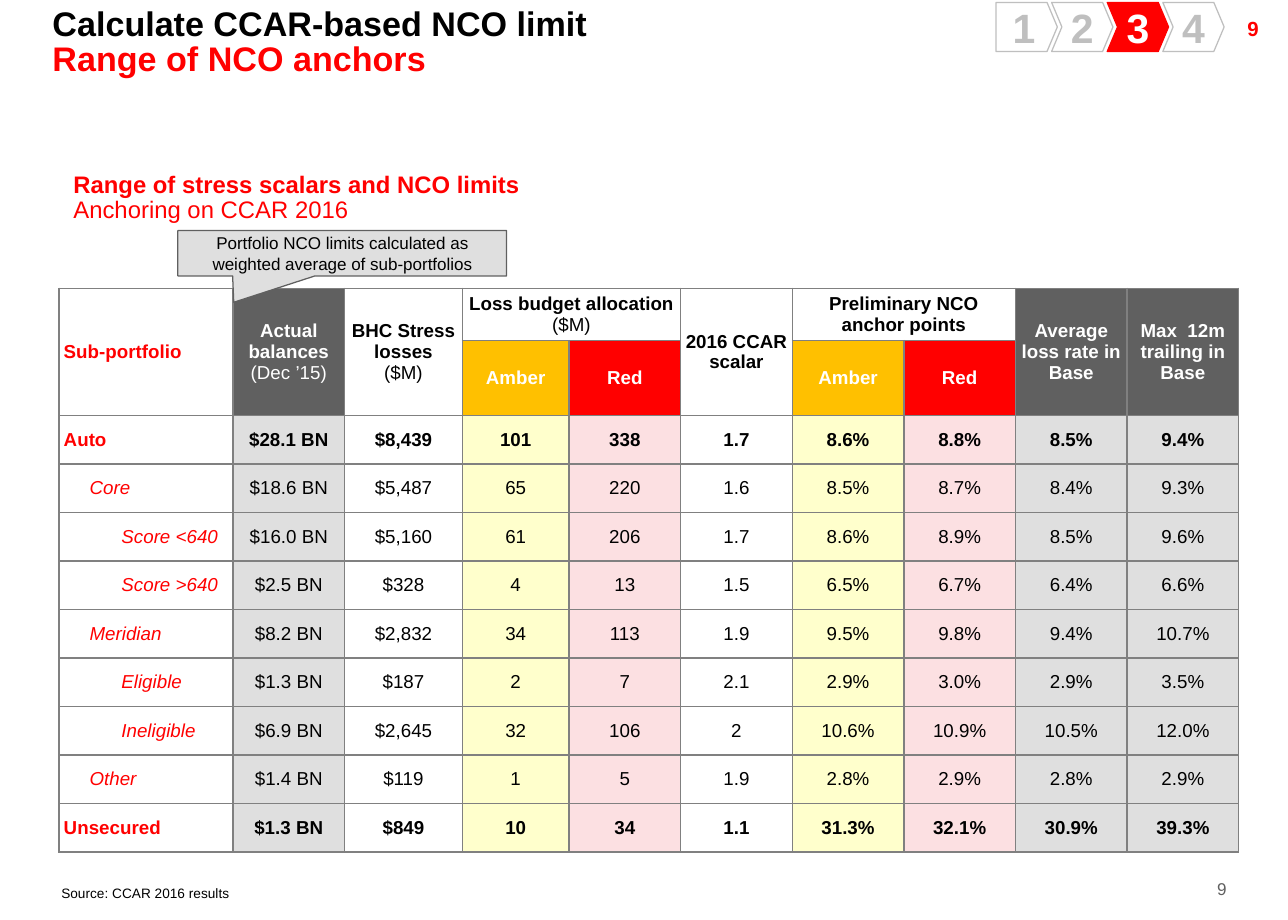
from lxml import etree
from pptx import Presentation
from pptx.dml.color import RGBColor
from pptx.enum.shapes import MSO_SHAPE as Shape
from pptx.enum.text import MSO_ANCHOR as Anchor, PP_ALIGN as Align
from pptx.oxml.ns import qn
from pptx.util import Inches, Pt

FONT = "Arial"
COLORS = {
    "white": "FFFFFF", "black": "000000", "red": "FF0000", "amber": "FFC000",
    "dark": "606060", "light": "DFDFDF", "cream": "FFFFCC", "pink": "FCE0E2",
    "border": "808080", "idle": "BFBFBF",
}

# Paragraphs are lists of (text, style) runs; style holds b for bold, i for italic.
TITLE = [[("Calculate CCAR-based NCO limit", "b", "black")],
         [("Range of NCO anchors", "b", "red")]]
SUBTITLE = [[("Range of stress scalars and NCO limits", "b", "red")],
            [("Anchoring on CCAR 2016", "", "red")]]
CALLOUT = "Portfolio NCO limits calculated as weighted average of sub-portfolios"
SOURCE = "Source: CCAR 2016 results"
PAGE_NUMBER = "9"
STEPS, CURRENT_STEP = 4, 3

# row, column, rows spanned, columns spanned, fill, text colour, paragraphs
HEADERS = [
    (0, 0, 2, 1, "white", "red", [[("Sub-portfolio", "b")]]),
    (0, 1, 2, 1, "dark", "white", [[("Actual balances", "b")], [("(Dec ’15)", "")]]),
    (0, 2, 2, 1, "white", "black", [[("BHC Stress losses", "b")], [("($M)", "")]]),
    (0, 3, 1, 2, "white", "black", [[("Loss budget allocation ", "b"), ("($M)", "")]]),
    (0, 5, 2, 1, "white", "black", [[("2016 CCAR scalar", "b")]]),
    (0, 6, 1, 2, "white", "black", [[("Preliminary NCO anchor points", "b")]]),
    (0, 8, 2, 1, "dark", "white", [[("Average loss rate in Base", "b")]]),
    (0, 9, 2, 1, "dark", "white", [[("Max  12m trailing in Base", "b")]]),
] + [
    (1, column, 1, 1, fill, "white", [[(label, "b")]])
    for first in (3, 6)
    for column, fill, label in ((first, "amber", "Amber"), (first + 1, "red", "Red"))
]

# level, name, values
PORTFOLIOS = [
    (0, "Auto", "$28.1 BN", "$8,439", "101", "338", "1.7", "8.6%", "8.8%", "8.5%", "9.4%"),
    (1, "Core", "$18.6 BN", "$5,487", "65", "220", "1.6", "8.5%", "8.7%", "8.4%", "9.3%"),
    (2, "Score <640", "$16.0 BN", "$5,160", "61", "206", "1.7", "8.6%", "8.9%", "8.5%", "9.6%"),
    (2, "Score >640", "$2.5 BN", "$328", "4", "13", "1.5", "6.5%", "6.7%", "6.4%", "6.6%"),
    (1, "Meridian", "$8.2 BN", "$2,832", "34", "113", "1.9", "9.5%", "9.8%", "9.4%", "10.7%"),
    (2, "Eligible", "$1.3 BN", "$187", "2", "7", "2.1", "2.9%", "3.0%", "2.9%", "3.5%"),
    (2, "Ineligible", "$6.9 BN", "$2,645", "32", "106", "2", "10.6%", "10.9%", "10.5%", "12.0%"),
    (1, "Other", "$1.4 BN", "$119", "1", "5", "1.9", "2.8%", "2.9%", "2.8%", "2.9%"),
    (0, "Unsecured", "$1.3 BN", "$849", "10", "34", "1.1", "31.3%", "32.1%", "30.9%", "39.3%"),
]
COLUMN_FILLS = ["white", "light", "white", "cream", "pink", "white",
                "cream", "pink", "light", "light"]
COLUMN_WIDTHS = [1.42, 0.91, 0.96, 0.87] + [0.91] * 6
BODY_HEIGHT = 3.56
ROW_HEIGHTS = [0.42, 0.61] + [BODY_HEIGHT / len(PORTFOLIOS)] * len(PORTFOLIOS)
LEVEL_INDENTS = [0.04, 0.25, 0.51]


def rgb(name):
    return RGBColor.from_string(COLORS[name])


def write(frame, paragraphs, size, color="black", align=Align.LEFT, spacing=None):
    """Fill a text frame; a run may carry its own colour as third item."""
    for number, spans in enumerate(paragraphs):
        para = frame.paragraphs[0] if number == 0 else frame.add_paragraph()
        para.alignment = align
        if spacing:
            para.line_spacing = spacing
        for text, style, *own_color in spans:
            span = para.add_run()
            span.text = text
            font = span.font
            font.name, font.size = FONT, Pt(size)
            font.bold, font.italic = "b" in style, "i" in style
            font.color.rgb = rgb(own_color[0] if own_color else color)


def set_insets(target, left, top, right, bottom):
    target.margin_left, target.margin_top = Inches(left), Inches(top)
    target.margin_right, target.margin_bottom = Inches(right), Inches(bottom)


def add_text(page, place, paragraphs, size, inset=True, anchor=Anchor.TOP, **options):
    frame = page.shapes.add_textbox(*map(Inches, place)).text_frame
    frame.word_wrap = True
    frame.vertical_anchor = anchor
    if not inset:
        set_insets(frame, 0, 0, 0, 0)
    write(frame, paragraphs, size, **options)


def add_panel(page, kind, place, adjustments, fill, line, inset, text, size, color, style=""):
    panel = page.shapes.add_shape(kind, *map(Inches, place))
    panel.shadow.inherit = False
    for number, value in enumerate(adjustments):
        panel.adjustments[number] = value
    panel.fill.solid()
    panel.fill.fore_color.rgb = rgb(fill)
    panel.line.color.rgb = rgb(line)
    panel.line.width = Pt(0.75)
    frame = panel.text_frame
    frame.word_wrap = True
    frame.vertical_anchor = Anchor.MIDDLE
    set_insets(frame, *[inset] * 4)
    write(frame, [[(text, style)]], size, color, Align.CENTER)


def style_cell(cell, fill, left=0.04):
    cell.vertical_anchor = Anchor.MIDDLE
    set_insets(cell, left, 0.03, 0.04, 0.03)
    properties = cell._tc.get_or_add_tcPr()
    for side in ("a:lnL", "a:lnR", "a:lnT", "a:lnB"):
        line = etree.SubElement(properties, qn(side), w=str(Pt(1)))
        paint = etree.SubElement(line, qn("a:solidFill"))
        etree.SubElement(paint, qn("a:srgbClr"), val=COLORS["border"])
    cell.fill.solid()
    cell.fill.fore_color.rgb = rgb(fill)


def add_portfolio_table(page):
    table = page.shapes.add_table(
        len(ROW_HEIGHTS), len(COLUMN_WIDTHS), Inches(0.48), Inches(2.35),
        Inches(sum(COLUMN_WIDTHS)), Inches(sum(ROW_HEIGHTS))).table
    table.first_row = table.horz_banding = False
    for column, width in zip(table.columns, COLUMN_WIDTHS):
        column.width = Inches(width)
    for row, height in zip(table.rows, ROW_HEIGHTS):
        row.height = Inches(height)

    for row, column, tall, wide, fill, color, paragraphs in HEADERS:
        for down in range(row, row + tall):
            for across in range(column, column + wide):
                style_cell(table.cell(down, across), fill)
        cell = table.cell(row, column)
        if tall * wide > 1:
            cell.merge(table.cell(row + tall - 1, column + wide - 1))
        write(cell.text_frame, paragraphs, 11, color,
              Align.LEFT if column == 0 else Align.CENTER)

    for row, (level, *texts) in enumerate(PORTFOLIOS, start=2):
        for column, (text, fill) in enumerate(zip(texts, COLUMN_FILLS)):
            cell = table.cell(row, column)
            bold = "b" if level == 0 else ""
            if column == 0:
                style_cell(cell, fill, LEVEL_INDENTS[level])
                write(cell.text_frame, [[(text, bold or "i")]], 11, "red")
            else:
                style_cell(cell, fill)
                write(cell.text_frame, [[(text, bold)]], 11, align=Align.CENTER)


def add_step_tracker(page):
    for step in sorted(range(1, STEPS + 1), key=lambda step: step == CURRENT_STEP):
        current = step == CURRENT_STEP
        add_panel(page, Shape.PENTAGON if step == 1 else Shape.CHEVRON,
                  (8.12 + 1.36 * (step - 1) / (STEPS - 1), 0.02, 0.5, 0.4), [0.21],
                  "red" if current else "white", "red" if current else "idle",
                  0, str(step), 24, "white" if current else "idle", "b")


def main():
    deck = Presentation()
    deck.slide_width, deck.slide_height = Inches(10.5), Inches(7.5)
    page = deck.slides.add_slide(deck.slide_layouts[6])

    add_text(page, (9.5, 7.16, 0.5, 0.17), [[(PAGE_NUMBER, "")]], 10, inset=False,
             anchor=Anchor.BOTTOM, color="dark", align=Align.RIGHT)
    add_text(page, (9.36, 0.11, 1, 0.24), [[(PAGE_NUMBER, "b")]], 12,
             color="red", align=Align.RIGHT, spacing=0.86)
    add_portfolio_table(page)
    add_text(page, (0.33, 0.02, 7.7, 0.68), TITLE, 20, spacing=0.86)
    add_text(page, (0.5, 1.37, 4.84, 0.51), SUBTITLE, 14, spacing=0.86)
    add_step_tracker(page)
    add_text(page, (0.5, 7.22, 8.5, 0.13), [[(SOURCE, "")]], 8, inset=False,
             anchor=Anchor.BOTTOM)
    add_panel(page, Shape.RECTANGULAR_CALLOUT, (1.45, 1.88, 2.68, 0.37),
              [-0.33, 1.08], "light", "dark", 0.08, CALLOUT, 10, "black")
    deck.save("out.pptx")


if __name__ == "__main__":
    main()
